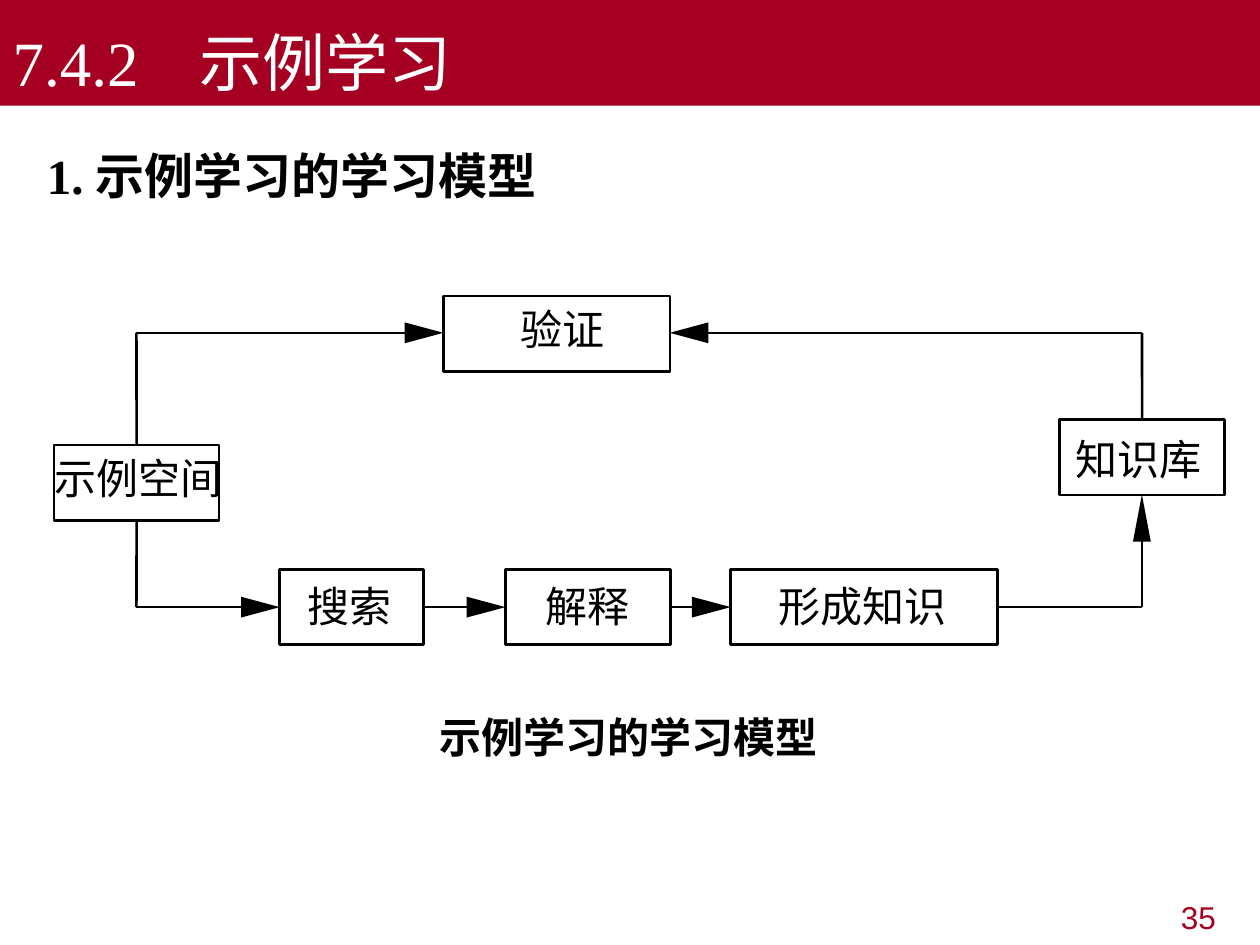
"""Builds the slide on the learning model of learning from examples."""
from dataclasses import dataclass

from lxml.etree import SubElement
from pptx import Presentation
from pptx.dml.color import RGBColor
from pptx.enum.shapes import MSO_CONNECTOR as Link, MSO_SHAPE as Shape
from pptx.enum.text import MSO_ANCHOR as Anchor, MSO_AUTO_SIZE as Fit, PP_ALIGN as Align
from pptx.oxml.ns import qn
from pptx.util import Cm, Pt


@dataclass(frozen=True)
class Theme:
    red: RGBColor = RGBColor(0xA5, 0x00, 0x21)
    white: RGBColor = RGBColor(0xFF, 0xFF, 0xFF)
    black: RGBColor = RGBColor(0x00, 0x00, 0x00)
    serif: str = "Times New Roman"
    sans: str = "Arial"
    cjk: str = "Noto Sans CJK SC"
    title: Pt = Pt(36)
    heading: Pt = Pt(28)
    label: Pt = Pt(24)
    number: Pt = Pt(18)
    line: Pt = Pt(1.5)


theme = Theme()


def style(paragraph, size, face, color, bold=False, align=Align.LEFT):
    paragraph.alignment = align
    font = paragraph.font
    font.size, font.name, font.bold = size, face, bold
    font.color.rgb = color
    defaults = paragraph._p.pPr.find(qn("a:defRPr"))
    SubElement(defaults, qn("a:ea")).set("typeface", theme.cjk)
    return defaults


def add_label(text, left, top, bold=False):
    label = slide.shapes.add_textbox(Cm(left), Cm(top), len(text) * theme.label, Cm(1.02))
    frame = label.text_frame
    frame.margin_left = frame.margin_right = frame.margin_top = frame.margin_bottom = 0
    frame.word_wrap = False
    frame.auto_size = Fit.SHAPE_TO_FIT_TEXT
    frame.text = text
    style(frame.paragraphs[0], theme.label, theme.cjk, theme.black, bold)


prs = Presentation()
prs.slide_width, prs.slide_height = Cm(25.4), Cm(19.05)
slide = prs.slides.add_slide(prs.slide_layouts[1])

title = slide.shapes.title
title.left, title.top, title.width, title.height = 0, 0, prs.slide_width, Cm(2.13)
title.fill.solid()
title.fill.fore_color.rgb = theme.red
title.text_frame.text = "7.4.2\t示例学习"
title.text_frame.vertical_anchor = Anchor.BOTTOM
title.text_frame.auto_size = Fit.NONE
title_defaults = style(title.text_frame.paragraphs[0], theme.title, theme.serif, theme.white)
tab_list = SubElement(title_defaults.getparent(), qn("a:tabLst"))
title_defaults.addprevious(tab_list)
tab_stop = SubElement(tab_list, qn("a:tab"))
tab_stop.set("pos", str(Cm(3.76)))
tab_stop.set("algn", "l")

body = slide.placeholders[1]
body.left, body.top, body.width, body.height = Cm(0.69), Cm(2.57), Cm(24), Cm(15.01)
body.text_frame.text = "1. 示例学习的学习模型"
body.text_frame.auto_size = Fit.NONE
heading = body.text_frame.paragraphs[0]
heading_defaults = style(heading, theme.heading, theme.serif, theme.black, bold=True)
heading_defaults.addprevious(SubElement(heading_defaults.getparent(), qn("a:buNone")))
heading.line_spacing, heading.space_before = 1.2, Pt(14)
heading_format = heading._p.pPr
heading_format.set("marL", str(Cm(1.3)))
heading_format.set("indent", str(-Cm(1.3)))

stages = [
    ("示例空间", 1.09, 8.97, 3.33, 1.09, 9.12),
    ("验证", 8.94, 5.97, 4.57, 10.49, 6.12),
    ("搜索", 5.64, 11.48, 2.9, 6.2, 11.71),
    ("解释", 10.19, 11.48, 3.33, 11, 11.71),
    ("形成知识", 14.73, 11.48, 5.38, 15.7, 11.71),
    ("知识库", 21.36, 8.46, 3.33, 21.69, 8.74),
]
boxes = {}
for name, left, top, width, label_left, label_top in stages:
    box = slide.shapes.add_shape(Shape.RECTANGLE, Cm(left), Cm(top), Cm(width), Cm(1.52))
    box.shadow.inherit = False
    box.fill.background()
    box.line.color.rgb = theme.black
    box.line.width = theme.line
    boxes[name] = box
    add_label(name, label_left, label_top)

left_rail, right_rail, top_rail, bottom_rail = 2.75, 23.02, 6.71, 12.24
flow_lines = [
    ("示例空间", 2, left_rail, 10.49, left_rail, bottom_rail),
    (None, 0, left_rail, bottom_rail, 4.88, bottom_rail),
    ("搜索", 3, 8.54, bottom_rail, 9.42, bottom_rail),
    ("解释", 3, 13.52, bottom_rail, 13.97, bottom_rail),
    ("形成知识", 3, 20.11, bottom_rail, right_rail, bottom_rail),
    (None, 0, right_rail, bottom_rail, right_rail, 10.87),
    ("示例空间", 0, left_rail, 8.97, left_rail, top_rail),
    (None, 0, left_rail, top_rail, 8.18, top_rail),
    ("知识库", 0, right_rail, 8.46, right_rail, top_rail),
    (None, 0, right_rail, top_rail, 14.25, top_rail),
]
for source, side, x1, y1, x2, y2 in flow_lines:
    flow = slide.shapes.add_connector(Link.STRAIGHT, Cm(x1), Cm(y1), Cm(x2), Cm(y2))
    if source:
        flow.begin_connect(boxes[source], side)
    flow.line.color.rgb = theme.black
    flow.line.width = theme.line
    SubElement(flow._element.spPr, qn("a:effectLst"))

arrowheads = [
    (5.64, bottom_rail, 1, 0, 0.78, 0.21),
    (10.19, bottom_rail, 1, 0, 0.78, 0.21),
    (14.73, bottom_rail, 1, 0, 0.78, 0.21),
    (8.94, top_rail, 1, 0, 0.78, 0.21),
    (13.5, top_rail, -1, 0, 0.78, 0.21),
    (right_rail, 9.97, 0, -1, 0.95, 0.18),
]
for x, y, dx, dy, length, half in arrowheads:
    base_x, base_y = x - dx * length, y - dy * length
    outline = slide.shapes.build_freeform(Cm(x), Cm(y))
    outline.add_line_segments([
        (Cm(base_x - dy * half), Cm(base_y + dx * half)),
        (Cm(base_x + dy * half), Cm(base_y - dx * half)),
    ])
    head = outline.convert_to_shape()
    head.shadow.inherit = False
    head.fill.solid()
    head.fill.fore_color.rgb = theme.black
    head.line.fill.background()

add_label("示例学习的学习模型", 8.86, 14.35, bold=True)

page_number = slide.shapes.add_textbox(Cm(19.25), Cm(17.98), Cm(5.51), Cm(0.99))
page_number.text_frame.word_wrap = True
page_number.text_frame.text = "35"
style(page_number.text_frame.paragraphs[0], theme.number, theme.sans, theme.red,
      align=Align.RIGHT)

prs.save("out.pptx")
